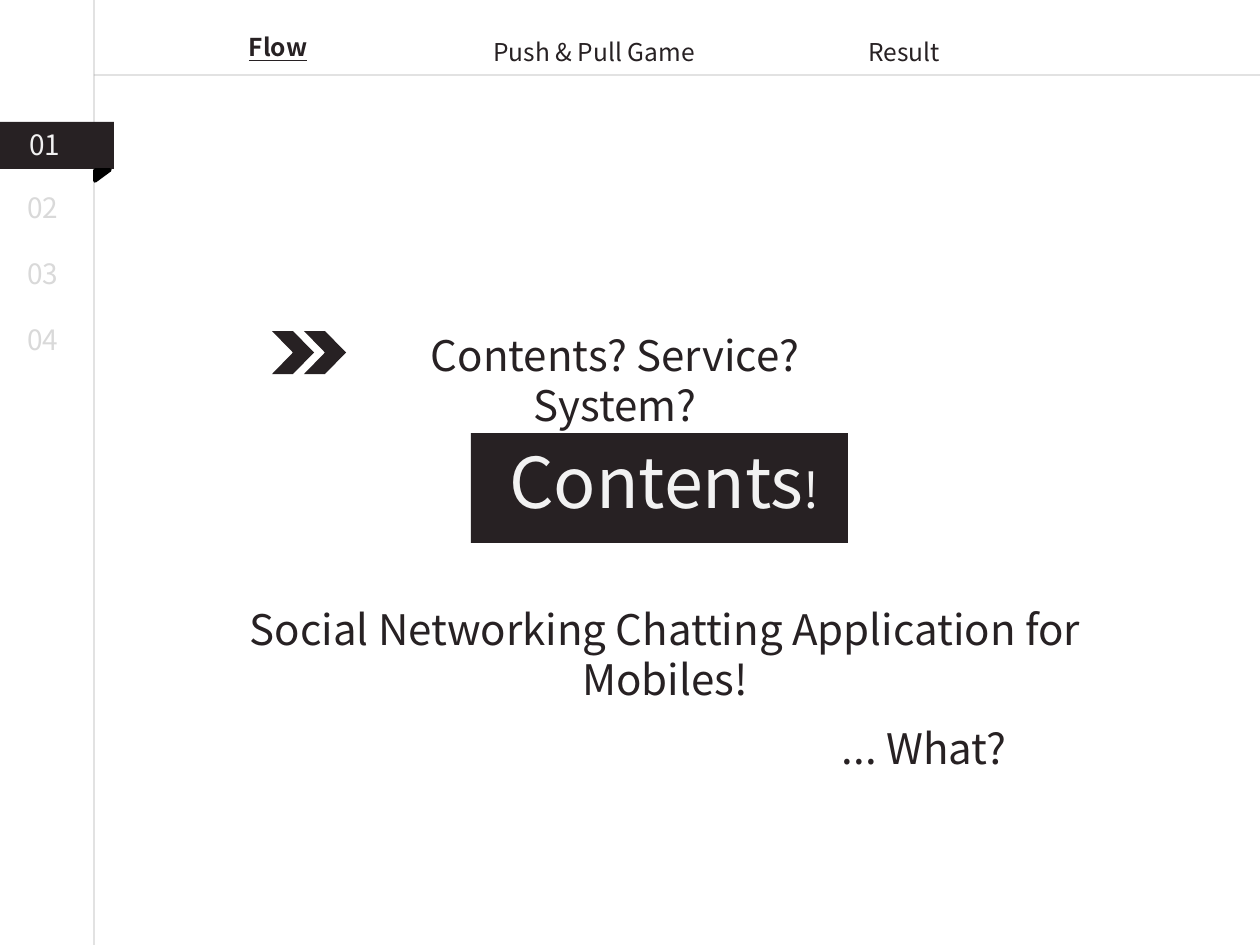
from lxml import etree
from pptx import Presentation
from pptx import util as u
from pptx.dml.color import RGBColor
from pptx.enum import shapes, text
from pptx.oxml import ns

FONT = "Noto Sans CJK KR"
INK = RGBColor(0x27, 0x21, 0x23)
BLACK = RGBColor(0, 0, 0)
PALE = RGBColor(0xF2, 0xF2, 0xF2)
FADED = RGBColor(0xD9, 0xD9, 0xD9)
RULE = RGBColor(0xA6, 0xA6, 0xA6)
CENTER, LEFT = text.PP_ALIGN.CENTER, text.PP_ALIGN.LEFT


def px(n):
    return u.Emu(round(n * 914400 / 126))


def place(sp, box):
    for name, n in zip(("left", "top", "width", "height"), box):
        setattr(sp, name, px(n))


def add_run(p, words, size, color, **fmt):
    r = p.add_run()
    r.text = words
    for name, value in {"name": FONT, "size": u.Pt(size), **fmt}.items():
        setattr(r.font, name, value)
    r.font.color.rgb = color


def write(sp, words, size, color, align=CENTER, **fmt):
    tf = sp.text_frame
    frame = {"word_wrap": True, "auto_size": text.MSO_AUTO_SIZE.NONE,
             "vertical_anchor": text.MSO_ANCHOR.TOP}
    for name, value in frame.items():
        setattr(tf, name, value)
    p = tf.paragraphs[0]
    p.alignment = align
    add_run(p, words, size, color, **fmt)
    return p


def add_text(s, box, *args, **fmt):
    return write(s.shapes.add_textbox(*map(px, box)), *args, **fmt)


def add_block(s, kind, box, color):
    sp = s.shapes.add_shape(kind, *map(px, box))
    sp.shadow.inherit = False
    sp.fill.solid()
    sp.fill.fore_color.rgb = color
    sp.line.fill.background()
    return sp


def add_rule(s, *ends):
    line = s.shapes.add_connector(shapes.MSO_CONNECTOR.STRAIGHT, *map(px, ends))
    line.line.color.rgb = RULE
    line.line.width = u.Pt(0.75)
    color = line.line._ln.find(".//" + ns.qn("a:srgbClr"))
    etree.SubElement(color, ns.qn("a:alpha"), val="50000")
    etree.SubElement(line._element.spPr, ns.qn("a:effectLst"))


def add_navigation(s):
    add_text(s, (144, 26, 268, 43), "Flow", 14, INK, bold=True, underline=True)
    for words, left, width in (("Push & Pull Game", 481, 334), ("Result", 856, 359)):
        p = add_text(s, (left, 16, width, 57), words, 14, INK, LEFT)
        p.line_spacing = 1.5
        pPr = p._p.get_or_add_pPr()
        pPr.set("marL", str(px(39)))
        pPr.set("indent", str(-px(39)))


def add_chapters(s):
    add_block(s, shapes.MSO_SHAPE.RECTANGLE, (0, 122, 114, 47), INK)
    fold = add_block(s, shapes.MSO_SHAPE.RIGHT_TRIANGLE, (97, 168, 11, 15), BLACK)
    fold.rotation = 90
    fold.line.color.rgb = BLACK
    fold.line.width = u.Pt(2)
    add_text(s, (17, 121, 74, 47), "01", 16, PALE, LEFT)
    for i in range(3):
        add_text(s, (15, 184 + 66 * i, 62, 47), f"{i + 2:02}", 16, FADED, LEFT)


def add_message(s):
    title = s.shapes.title
    place(title, (342, 323, 546, 63))
    write(title, "Contents? Service? System?", 24, INK)
    for left in (304, 272):
        add_block(s, shapes.MSO_SHAPE.CHEVRON, (left, 331, 42, 43), INK)
    add_block(s, shapes.MSO_SHAPE.RECTANGLE, (471, 433, 377, 110), INK)
    p = add_text(s, (481, 432, 367, 97), "Contents", 40, PALE)
    add_run(p, "!", 28, PALE)
    add_text(s, (194, 597, 942, 63),
             "Social Networking Chatting Application for Mobiles!", 24, INK)
    add_text(s, (748, 716, 352, 63), "... What?", 24, INK)


def main():
    prs = Presentation()
    prs.slide_width, prs.slide_height = px(1260), px(945)
    s = prs.slides.add_slide(prs.slide_layouts[5])
    add_message(s)
    add_rule(s, 94, 0, 94, 945)
    add_rule(s, 94, 75, 1260, 75)
    add_navigation(s)
    add_chapters(s)
    prs.save("out.pptx")


if __name__ == "__main__":
    main()
